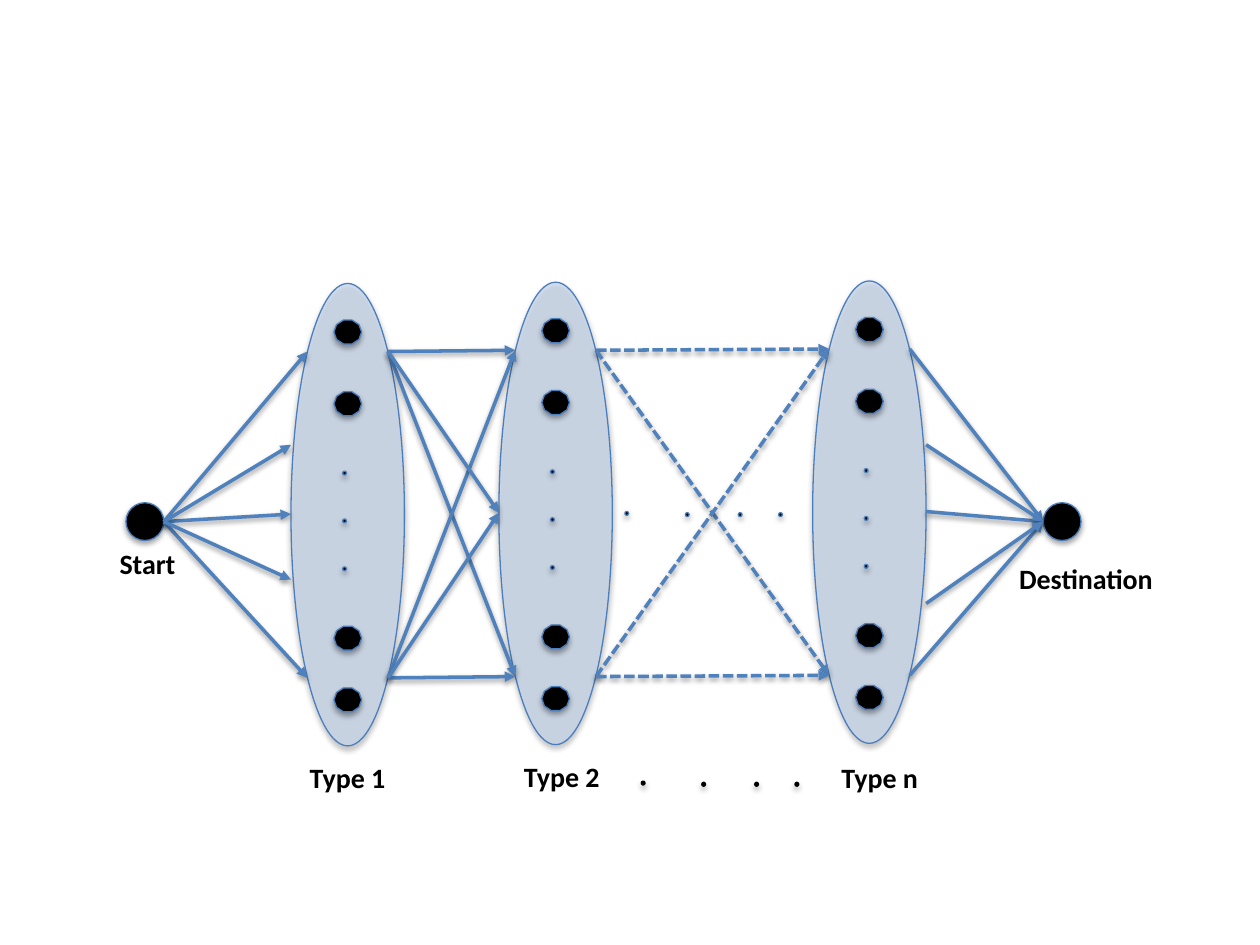
import pptx
import pptx.util
import pptx.dml.color
import pptx.enum.shapes
import pptx.enum.dml
import pptx.oxml.ns
import lxml.etree

Inches, Pt = pptx.util.Inches, pptx.util.Pt
KIND = pptx.enum.shapes.MSO_SHAPE
DASH = pptx.enum.dml.MSO_LINE.SQUARE_DOT
COLORS = {"black": "000000", "edge": "4B7EBC", "arrow": "4F81BD", "band": "C6D9F1"}
BAND_W, BAND_H = 0.9, 3.67
NODE = 0.3


def color(name):
    return pptx.dml.color.RGBColor.from_string(COLORS[name])


def add_xml(parent, tag, **attrs):
    name = pptx.oxml.ns.qn("a:" + tag)
    return lxml.etree.SubElement(parent, name, {k: str(v) for k, v in attrs.items()})


def cast(effects, alpha, dist):
    shade = add_xml(effects, "outerShdw", blurRad=Pt(3.1), dist=Pt(dist),
                    dir=5400000, rotWithShape=0)
    tint = add_xml(shade, "srgbClr", val=COLORS["black"])
    add_xml(tint, "alpha", val=alpha * 1000)


def add_shape(slide, kind, left, top, width, height, fill="black", edge="edge", alpha=None):
    shape = slide.shapes.add_shape(kind, *map(Inches, (left, top, width, height)))
    shape.fill.solid()
    shape.fill.fore_color.rgb = color(fill)
    shape.line.color.rgb = color(edge)
    shape.line.width = Pt(0.75)
    props = shape._element.spPr
    if alpha:
        tint = props.find(".//" + pptx.oxml.ns.qn("a:srgbClr"))
        add_xml(tint, "alpha", val=alpha * 1000)
    shape.shadow.inherit = False
    cast(props.find(pptx.oxml.ns.qn("a:effectLst")), 35, 1.8)


def add_dot(slide, left, top, edge="edge"):
    add_shape(slide, KIND.DECAGON, left, top, 0.03, 0.03, edge=edge)


def add_arrow(slide, start, end, dash=None):
    line = slide.shapes.add_connector(pptx.enum.shapes.MSO_CONNECTOR.STRAIGHT,
                                      *map(Inches, (*start, *end)))
    line.line.color.rgb = color("arrow")
    line.line.width = Pt(2)
    if dash:
        line.line.dash_style = dash
    add_xml(line.line._get_or_add_ln(), "tailEnd", type="triangle")
    cast(add_xml(line._element.spPr, "effectLst"), 38, 1.6)


def add_text(slide, text, left, top, width=0.98, size=16, bold=True, font="Calibri"):
    box = slide.shapes.add_textbox(*map(Inches, (left, top, width, 0.37)))
    box.text_frame.word_wrap = True
    run = box.text_frame.paragraphs[0].add_run()
    run.text = text
    run.font.size, run.font.bold, run.font.name = Pt(size), bold, font
    run.font.color.rgb = color("black")


def add_band(slide, left, top):
    add_shape(slide, KIND.OVAL, left, top, BAND_W, BAND_H, fill="band", alpha=61)
    for drop in (0.29, 0.86, 2.72, 3.21):
        add_shape(slide, KIND.DECAGON, left + 0.34, top + drop, 0.22, 0.19)
    for drop in (1.49, 1.87, 2.25):
        add_dot(slide, left + 0.41, top + drop)


def port(band, side, level):
    """Point on the rim: side is left or right, level is top, mid or low."""
    left, top = band
    inset = 0 if level == "mid" else 0.13
    across = inset if side == "left" else BAND_W - inset
    return left + across, top + {"top": 0.54, "mid": 1.83, "low": 3.13}[level]


def link_bands(slide, first, second, pairs, dash=None):
    for start, end in pairs:
        add_arrow(slide, port(first, "right", start), port(second, "left", end), dash)


def rim(band, side, extra):
    """The three ports of a side plus points at the extra heights."""
    edge = port(band, side, "mid")[0]
    return [port(band, side, level) for level in ("top", "mid", "low")] + [
        (edge, band[1] + drop) for drop in extra]


def add_row(slide, left, top, edge):
    """A row of four dots; the first sits a little higher."""
    for step, drop in ((0, 0), (0.48, 0.01), (0.9, 0.01), (1.22, 0.01)):
        add_dot(slide, left + step, top + drop, edge)


deck = pptx.Presentation()
deck.slide_width, deck.slide_height = Inches(10), Inches(7.5)
slide = deck.slides.add_slide(deck.slide_layouts[6])

# Bands and end nodes
one, two, last = bands = [(2.31, 2.25), (3.96, 2.24), (6.45, 2.23)]
for band in bands:
    add_band(slide, *band)
begin, goal = (1, 3.99), (8.28, 3.99)
for node in (begin, goal):
    add_shape(slide, KIND.OVAL, *node, NODE, NODE)
add_row(slide, 4.96, 4.06, "edge")

# Fans from the start and to the destination
for point in rim(one, "left", (1.28, 2.35)):
    add_arrow(slide, (begin[0] + NODE, begin[1] + NODE / 2), point)
for point in rim(last, "right", (1.3, 2.56)):
    add_arrow(slide, point, (goal[0], goal[1] + NODE / 2))

# Links between bands
outer = [(start, end) for start in ("top", "low") for end in ("top", "low")]
link_bands(slide, one, two, outer + [("top", "mid"), ("low", "mid")])
link_bands(slide, two, last, outer, DASH)

# Labels
add_text(slide, "Start", 0.85, 4.29)
add_text(slide, "Destination", 7.99, 4.41, width=1.37)
for text, left, top in (("Type 1", 2.36, 5.99), ("Type 2", 4.06, 5.98), ("Type n", 6.58, 5.99)):
    add_text(slide, text, left, top)
add_row(slide, 5.09, 6.2, "black")

deck.save("out.pptx")
